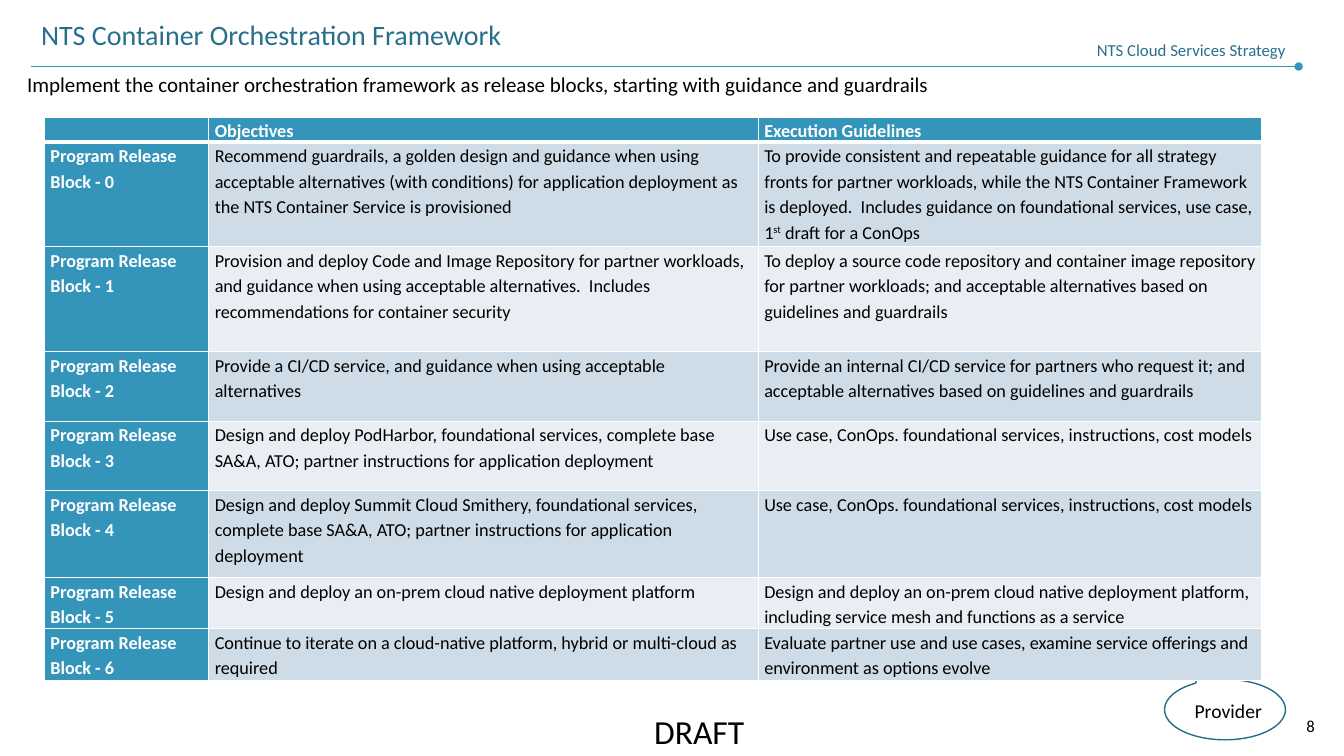
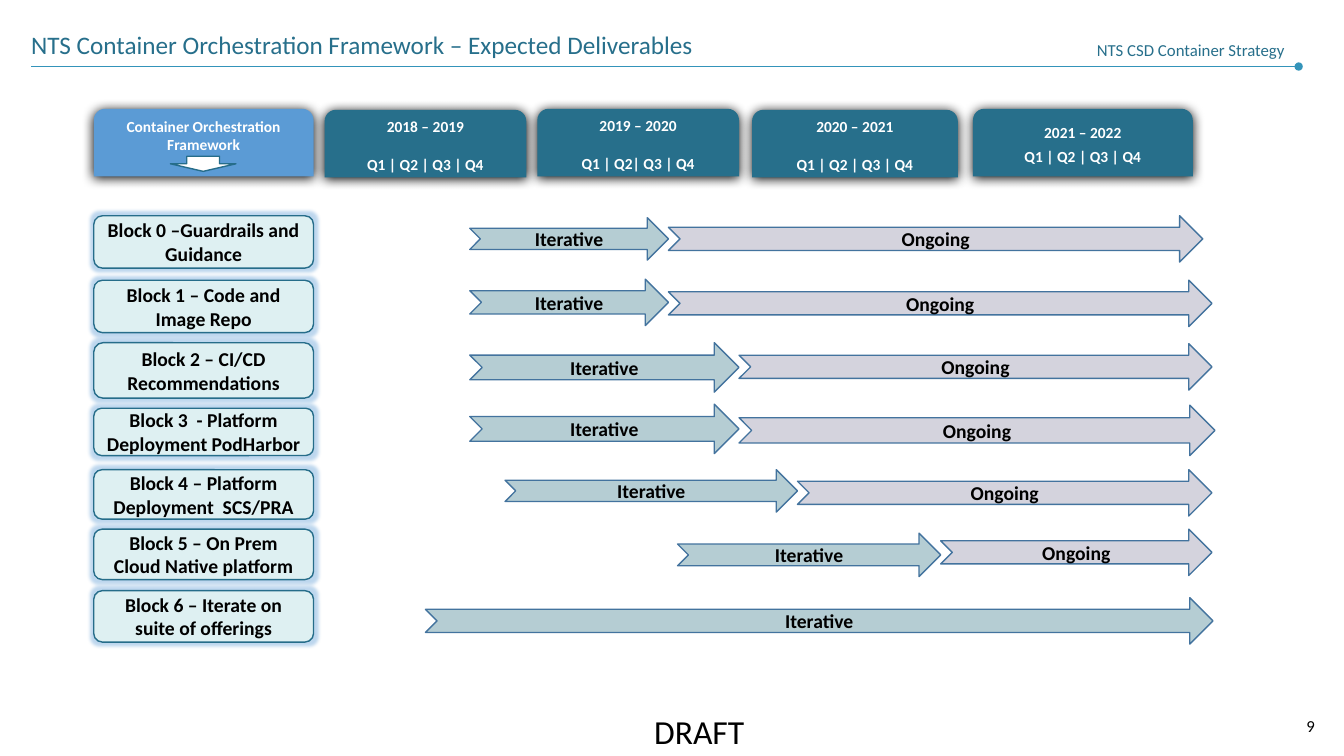
from lxml.etree import SubElement
from pptx import Presentation
from pptx.dml.color import RGBColor
from pptx.enum.shapes import MSO_CONNECTOR, MSO_SHAPE as Shape
from pptx.enum.text import MSO_ANCHOR as Anchor, PP_ALIGN as Align
from pptx.oxml import parse_xml
from pptx.oxml.ns import nsdecls, qn
from pptx.util import Inches, Pt

FONT = "Calibri"
BLACK = RGBColor(0x00, 0x00, 0x00)
WHITE = RGBColor(0xFF, 0xFF, 0xFF)
TEAL = RGBColor(0x34, 0x94, 0xBA)
DARK_TEAL = RGBColor(0x27, 0x6F, 0x8B)
OUTLINE = RGBColor(0x26, 0x6D, 0x8A)
ARROW_OUTLINE = RGBColor(0x43, 0x73, 0x9E)
BLUE = RGBColor(0x5B, 0x9B, 0xD5)
PALE_TEAL = RGBColor(0xDE, 0xF0, 0xF2)
ITERATIVE_FILL = RGBColor(0xB5, 0xCD, 0xD3)
ONGOING_FILL = RGBColor(0xD4, 0xD3, 0xDD)
BANDS = (RGBColor(0xCE, 0xDC, 0xE7), RGBColor(0xE8, 0xEE, 0xF3))

SHADOW = ('<a:outerShdw blurRad="107950" dist="12700" dir="5400000">'
          '<a:srgbClr val="000000"/></a:outerShdw>')
GLOW = ('<a:glow rad="63500"><a:srgbClr val="5B9BD5">'
        '<a:alpha val="40000"/></a:srgbClr></a:glow>')

SUMMARY = ("Implement the container orchestration framework as release blocks, "
           "starting with guidance and guardrails")
COLUMN_WIDTHS = (1.63, 5.45, 4.99)
COLUMN_HEADS = ("", "Objectives", "Execution Guidelines")
HEAD_HEIGHT = 0.24
# Row height, objective, execution guideline; "^" surrounds superscript text
RELEASE_BLOCKS = [
    (1.04,
     "Recommend guardrails, a golden design and guidance when using acceptable "
     "alternatives (with conditions) for application deployment as the NTS "
     "Container Service is provisioned",
     "To provide consistent and repeatable guidance for all strategy fronts for "
     "partner workloads, while the NTS Container Framework is deployed.  Includes "
     "guidance on foundational services, use case, 1^st^ draft for a ConOps"),
    (1.04,
     "Provision and deploy Code and Image Repository for partner workloads, and "
     "guidance when using acceptable alternatives.  Includes recommendations for "
     "container security",
     "To deploy a source code repository and container image repository for partner "
     "workloads; and acceptable alternatives based on guidelines and guardrails"),
    (0.69,
     "Provide a CI/CD service, and guidance when using acceptable alternatives",
     "Provide an internal CI/CD service for partners who request it; and acceptable "
     "alternatives based on guidelines and guardrails"),
    (0.69,
     "Design and deploy PodHarbor, foundational services, complete base SA&A, ATO; "
     "partner instructions for application deployment",
     "Use case, ConOps. foundational services, instructions, cost models"),
    (0.86,
     "Design and deploy Summit Cloud Smithery, foundational services, complete base "
     "SA&A, ATO; partner instructions for application deployment",
     "Use case, ConOps. foundational services, instructions, cost models"),
    (0.51,
     "Design and deploy an on-prem cloud native deployment platform",
     "Design and deploy an on-prem cloud native deployment platform, including "
     "service mesh and functions as a service"),
    (0.51,
     "Continue to iterate on a cloud-native platform, hybrid or multi-cloud as required",
     "Evaluate partner use and use cases, examine service offerings and environment "
     "as options evolve"),
]

# Left, top, width, lines, gap between lines in points
YEARS = [
    (3.22, 1.09, 2.0, ("2018 – 2019", "Q1 | Q2 | Q3 | Q4"), 13.4),
    (5.33, 1.08, 2.0, ("2019 – 2020", "Q1 | Q2| Q3 | Q4"), 13.4),
    (7.46, 1.09, 2.04, ("2020 – 2021", "Q1 | Q2 | Q3 | Q4"), 13.4),
    (9.65, 1.08, 2.18, ("2021 – 2022", "Q1 | Q2 | Q3 | Q4"), 3.7),
]
YEAR_HEIGHT = 0.67
LABEL_LEFT, LABEL_WIDTH = 0.93, 2.18
# Label, its top and height, then arrows as (left, right, top, height)
DELIVERABLES = [
    ("Block 0 –Guardrails and Guidance", 2.14, 0.52,
     (4.66, 6.63, 2.16, 0.42), (6.63, 11.93, 2.14, 0.46)),
    ("Block 1 – Code and Image Repo", 2.78, 0.52,
     (4.66, 6.63, 2.77, 0.46), (6.63, 12.02, 2.78, 0.46)),
    ("Block 2 – CI/CD Recommendations", 3.4, 0.55,
     (4.66, 7.33, 3.4, 0.49), (7.33, 12.02, 3.41, 0.46)),
    ("Block 3  - Platform Deployment PodHarbor", 4.05, 0.47,
     (4.66, 7.33, 4.01, 0.49), (7.33, 12.05, 4.02, 0.5)),
    ("Block 4 – Platform Deployment  SCS/PRA", 4.66, 0.49,
     (5.01, 7.91, 4.66, 0.42), (7.91, 12.02, 4.66, 0.46)),
    ("Block 5 – On Prem Cloud Native platform", 5.25, 0.5,
     (6.72, 9.33, 5.29, 0.43), (9.33, 12.02, 5.25, 0.46)),
    ("Block 6 – Iterate on suite of offerings", 5.86, 0.51,
     (4.22, 12.03, 5.93, 0.46)),
]
ARROW_KINDS = (("Iterative", ITERATIVE_FILL), ("Ongoing", ONGOING_FILL))


def style(para, size, color=BLACK, bold=False, align=Align.LEFT, spacing=None):
    para.font.name = FONT
    para.font.size = Pt(size)
    para.font.color.rgb = color
    para.font.bold = bold
    para.alignment = align
    if spacing:
        para.line_spacing = spacing


def add_text(slide, area, text, size, color=BLACK, align=Align.LEFT,
             anchor=Anchor.TOP, spacing=None):
    frame = slide.shapes.add_textbox(*map(Inches, area)).text_frame
    frame.word_wrap = True
    frame.vertical_anchor = anchor
    frame.text = text
    style(frame.paragraphs[0], size, color, align=align, spacing=spacing)


def add_box(slide, kind, area, fill, line=None, effect=None):
    box = slide.shapes.add_shape(kind, *map(Inches, area))
    box.shadow.inherit = False
    box.fill.solid()
    box.fill.fore_color.rgb = fill
    if line is None:
        box.line.fill.background()
    else:
        box.line.color.rgb = line
        box.line.width = Pt(1)
    if effect:
        effects = box.element.spPr.find(qn("a:effectLst"))
        effects.append(parse_xml(effect.replace(" ", f" {nsdecls('a')} ", 1)))
    return box


def write_box(box, lines, size, color=BLACK, gap=0):
    """Centre bold lines in a box, with a gap in points before all but the first."""
    frame = box.text_frame
    frame.word_wrap = True
    frame.vertical_anchor = Anchor.MIDDLE
    frame.text = "\n".join(lines)
    for index, para in enumerate(frame.paragraphs):
        style(para, size, color, bold=True, align=Align.CENTER)
        para.space_before = Pt(gap if index else 0)


def add_page(deck, number, title, title_area, title_size, strategy):
    """Add a slide with the shared title, rule, strategy name, draft mark and number."""
    slide = deck.slides.add_slide(deck.slide_layouts[6])
    add_text(slide, (12.61, 7, 0.53, 0.4), str(number), 12,
             align=Align.RIGHT, anchor=Anchor.MIDDLE)
    rule = slide.shapes.add_connector(
        MSO_CONNECTOR.STRAIGHT, *map(Inches, (0.31, 0.66, 12.88, 0.66)))
    rule.line.color.rgb = TEAL
    rule.line.width = Pt(0.5)
    SubElement(rule.line._get_or_add_ln(), qn("a:tailEnd"), type="oval")
    SubElement(rule.element.spPr, qn("a:effectLst"))
    add_text(slide, (6.39, 7, 1.3, 0.5), "DRAFT", 24)
    add_text(slide, (10.78, 0.35, 2.3, 0.3), strategy, 12, DARK_TEAL)
    add_text(slide, title_area, title, title_size, DARK_TEAL, spacing=0.9)
    return slide


def add_borders(cell, bottom):
    properties = cell._tc.get_or_add_tcPr()
    for side, width in (("L", 1), ("R", 1), ("T", 1), ("B", bottom)):
        line = SubElement(properties, qn(f"a:ln{side}"), w=str(Pt(width)))
        fill = SubElement(line, qn("a:solidFill"))
        SubElement(fill, qn("a:srgbClr"), val=str(WHITE))


def fill_cell(cell, text, fill, is_head, bottom=1):
    cell.margin_left = cell.margin_right = Inches(0.06)
    cell.margin_top = cell.margin_bottom = 0
    add_borders(cell, bottom)
    cell.fill.solid()
    cell.fill.fore_color.rgb = fill
    para = cell.text_frame.paragraphs[0]
    style(para, 13, WHITE if is_head else BLACK, bold=is_head, spacing=1.15)
    for index, part in enumerate(text.split("^") if text else ()):
        span = para.add_run()
        span.text = part
        if index % 2:
            span._r.get_or_add_rPr().set("baseline", "30000")


def add_release_table(slide):
    heights = [HEAD_HEIGHT] + [block[0] for block in RELEASE_BLOCKS]
    area = (0.44, 1.16, sum(COLUMN_WIDTHS), sum(heights))
    table = slide.shapes.add_table(
        len(heights), len(COLUMN_WIDTHS), *map(Inches, area)).table
    for column, width in zip(table.columns, COLUMN_WIDTHS):
        column.width = Inches(width)
    for row, height in zip(table.rows, heights):
        row.height = Inches(height)
    for column, text in enumerate(COLUMN_HEADS):
        fill_cell(table.cell(0, column), text, TEAL, True, bottom=3)
    for index, (_, *texts) in enumerate(RELEASE_BLOCKS):
        row = index + 1
        fill_cell(table.cell(row, 0), f"Program Release Block - {index}", TEAL, True)
        for column, text in enumerate(texts, 1):
            fill_cell(table.cell(row, column), text, BANDS[index % 2], False)


def build_release_page(deck):
    slide = add_page(deck, 8, "NTS Container Orchestration Framework",
                     (0.31, 0.16, 10.4, 0.5), 20, "NTS Cloud Services Strategy")
    callout = add_box(slide, Shape.OVAL_CALLOUT, (11.55, 6.74, 1.2, 0.6),
                      WHITE, OUTLINE)
    callout.adjustments[0], callout.adjustments[1] = -0.22, -0.68
    add_text(slide, (11.75, 6.88, 0.95, 0.34), "Provider", 14)
    add_text(slide, (0.17, 0.66, 13.04, 0.35), SUMMARY, 15)
    add_release_table(slide)


def build_deliverables_page(deck):
    slide = add_page(deck, 9,
                     "NTS Container Orchestration Framework – Expected Deliverables",
                     (0.21, 0.28, 7.99, 0.5), 18, "NTS CSD Container Strategy")
    heading = add_box(slide, Shape.ROUND_2_SAME_RECTANGLE,
                      (LABEL_LEFT, 1.08, LABEL_WIDTH, YEAR_HEIGHT), BLUE, effect=SHADOW)
    write_box(heading, ["Container Orchestration Framework"], 11, WHITE)
    heading.text_frame.margin_bottom = Inches(0.23)
    add_box(slide, Shape.DOWN_ARROW, (1.69, 1.55, 0.65, 0.15), WHITE, OUTLINE)
    for left, top, width, lines, gap in YEARS:
        year = add_box(slide, Shape.ROUND_2_SAME_RECTANGLE,
                       (left, top, width, YEAR_HEIGHT), DARK_TEAL, effect=SHADOW)
        write_box(year, lines, 11, WHITE, gap)
    for text, label_top, label_height, *arrows in DELIVERABLES:
        label = add_box(slide, Shape.ROUNDED_RECTANGLE,
                        (LABEL_LEFT, label_top, LABEL_WIDTH, label_height),
                        PALE_TEAL, OUTLINE, GLOW)
        write_box(label, [text], 14)
        for (left, right, top, height), (name, fill) in zip(arrows, ARROW_KINDS):
            arrow = add_box(slide, Shape.NOTCHED_RIGHT_ARROW,
                            (left, top, right - left, height), fill, ARROW_OUTLINE)
            write_box(arrow, [name], 14)


def main():
    deck = Presentation()
    deck.slide_width, deck.slide_height = Inches(13.33), Inches(7.5)
    build_release_page(deck)
    build_deliverables_page(deck)
    deck.save("out.pptx")


if __name__ == "__main__":
    main()
